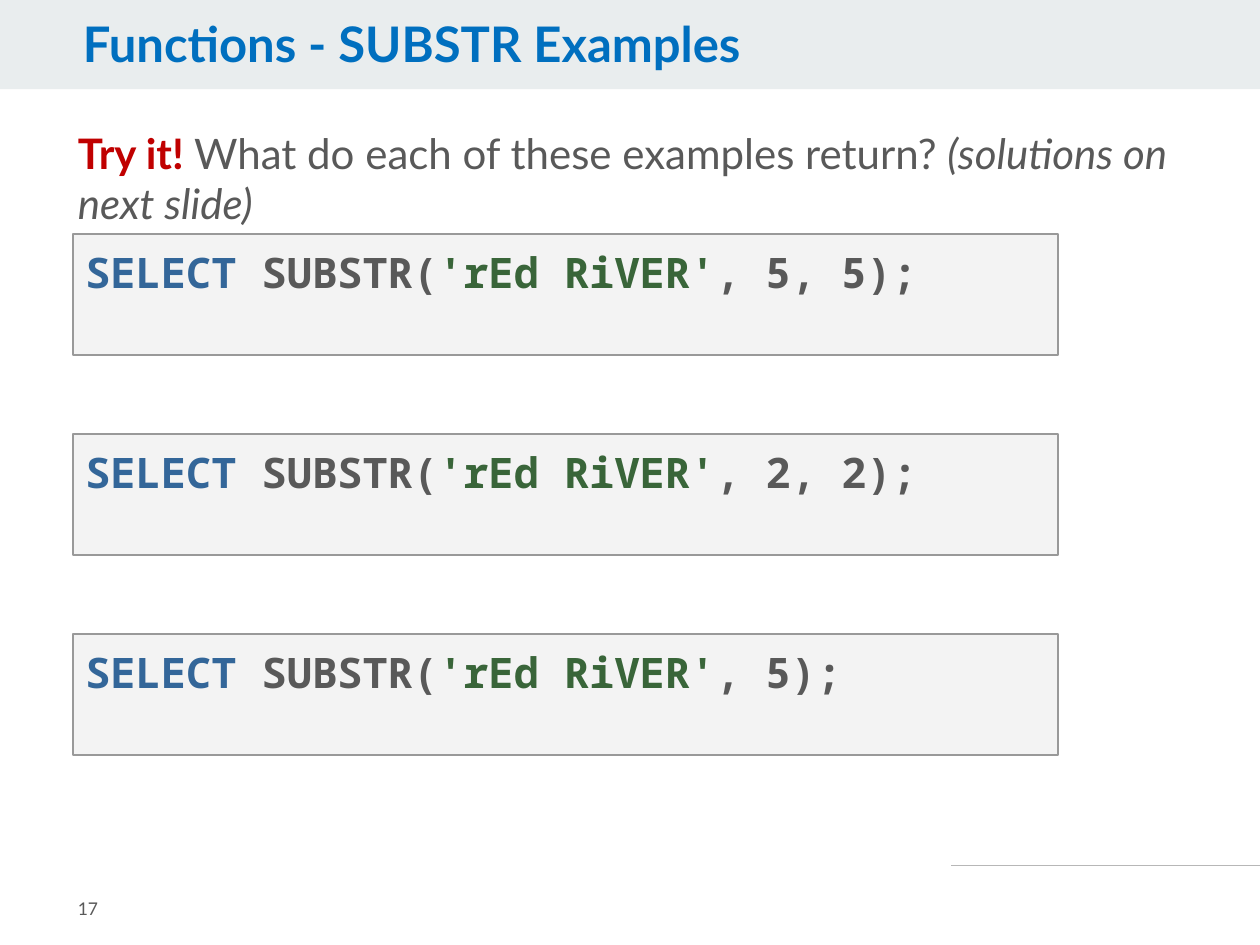
import dataclasses
import typing

import lxml.etree
import pptx
import pptx.dml.color
import pptx.enum.shapes
import pptx.enum.text
import pptx.oxml.ns
import pptx.util

Cm = pptx.util.Cm
Pt = pptx.util.Pt
ANCHOR = pptx.enum.text.MSO_ANCHOR

COLORS = {
    "band": "E9EDEE", "title": "006FBF", "alert": "C00000", "text": "595959",
    "keyword": "336699", "string": "396539", "code_fill": "F3F3F3",
    "code_line": "999999", "rule": "B7B7B7",
}


@dataclasses.dataclass
class Area:
    left: float
    top: float
    width: float
    height: float

    def lengths(self) -> dict[str, int]:
        return {name: Cm(value) for name, value in dataclasses.asdict(self).items()}


@dataclasses.dataclass
class Span:
    text: str
    color: str
    size: int = 24
    bold: bool = False
    italic: bool = False
    font: str = "Lato"


def rgb(name: str) -> pptx.dml.color.RGBColor:
    return pptx.dml.color.RGBColor.from_string(COLORS[name])


def set_values(target: typing.Any, values: dict[str, typing.Any]) -> None:
    for name, value in values.items():
        setattr(target, name, value)


def write(box: typing.Any, spans: list[Span], anchor: ANCHOR = ANCHOR.TOP,
          inset: float = 0.25, line_spacing: float = 1.0) -> None:
    frame = box.text_frame
    set_values(frame, {
        "word_wrap": True, "auto_size": pptx.enum.text.MSO_AUTO_SIZE.NONE,
        "vertical_anchor": anchor, "margin_left": Cm(0.25), "margin_right": Cm(0.25),
        "margin_top": Cm(inset), "margin_bottom": Cm(inset),
    })
    para = frame.paragraphs[0]
    set_values(para, {
        "alignment": pptx.enum.text.PP_ALIGN.LEFT, "line_spacing": line_spacing,
        "space_before": Pt(0), "space_after": Pt(0),
    })
    for span in spans:
        run = para.add_run()
        run.text = span.text
        set_values(run.font, {"name": span.font, "size": Pt(span.size),
                              "bold": span.bold, "italic": span.italic})
        run.font.color.rgb = rgb(span.color)


def add_rectangle(page: typing.Any, area: Area, fill: str,
                  line: str | None = None) -> typing.Any:
    box = page.shapes.add_shape(pptx.enum.shapes.MSO_SHAPE.RECTANGLE,
                                **area.lengths())
    box.shadow.inherit = False
    box.fill.solid()
    box.fill.fore_color.rgb = rgb(fill)
    if line:
        box.line.color.rgb = rgb(line)
        box.line.width = Pt(0.75)
    else:
        box.line.fill.background()
    return box


def add_code(page: typing.Any, area: Area, ending: str) -> None:
    box = add_rectangle(page, area, "code_fill", "code_line")
    parts = [("SELECT ", "keyword"), ("SUBSTR(", "text"),
             ("'rEd RiVER'", "string"), (ending, "text")]
    write(box, [Span(text, color, bold=True, font="Noto Sans Mono")
                for text, color in parts])


def add_rule(page: typing.Any, left: float, right: float, top: float) -> None:
    rule = page.shapes.add_connector(pptx.enum.shapes.MSO_CONNECTOR.STRAIGHT,
                                     Cm(left), Cm(top), Cm(right), Cm(top))
    rule.line.color.rgb = rgb("rule")
    rule.line.width = Pt(0.75)
    lxml.etree.SubElement(rule.element.spPr, pptx.oxml.ns.qn("a:effectLst"))


def main() -> None:
    deck = pptx.Presentation()
    set_values(deck, {"slide_width": Cm(25.4), "slide_height": Cm(19.05)})
    page = deck.slides.add_slide(deck.slide_layouts[1])

    band = add_rectangle(page, Area(0, 0, 25.4, 1.8), "band")
    title = page.shapes.title
    title.element.addprevious(band.element)
    set_values(title, Area(1.42, 0.28, 20.02, 1.4).lengths())
    write(title, [Span("Functions - SUBSTR Examples", "title", 28, bold=True)],
          inset=0.13, line_spacing=0.9)

    body = page.placeholders[1]
    set_values(body, Area(1.32, 2.44, 22.48, 13.08).lengths())
    properties = body.text_frame.paragraphs[0]._p.get_or_add_pPr()
    properties.set("marL", "0")
    properties.set("indent", "0")
    lxml.etree.SubElement(properties, pptx.oxml.ns.qn("a:buNone"))
    write(body, [
        Span("Try it! ", "alert", bold=True),
        Span("What do each of these examples return? ", "text"),
        Span("(solutions on next slide)", "text", italic=True),
    ], inset=0.13)

    for row, ending in enumerate([", 5, 5);", ", 2, 2);", ", 5);"]):
        add_code(page, Area(1.47, 4.72 + row * 4.03, 19.86, 2.44), ending)

    add_rule(page, 19.18, 25.4, 17.45)
    number = page.shapes.add_textbox(**Area(1.32, 17.6, 3.12, 1.45).lengths())
    write(number, [Span("17", "text", 10)], ANCHOR.MIDDLE)

    deck.save("out.pptx")


if __name__ == "__main__":
    main()
